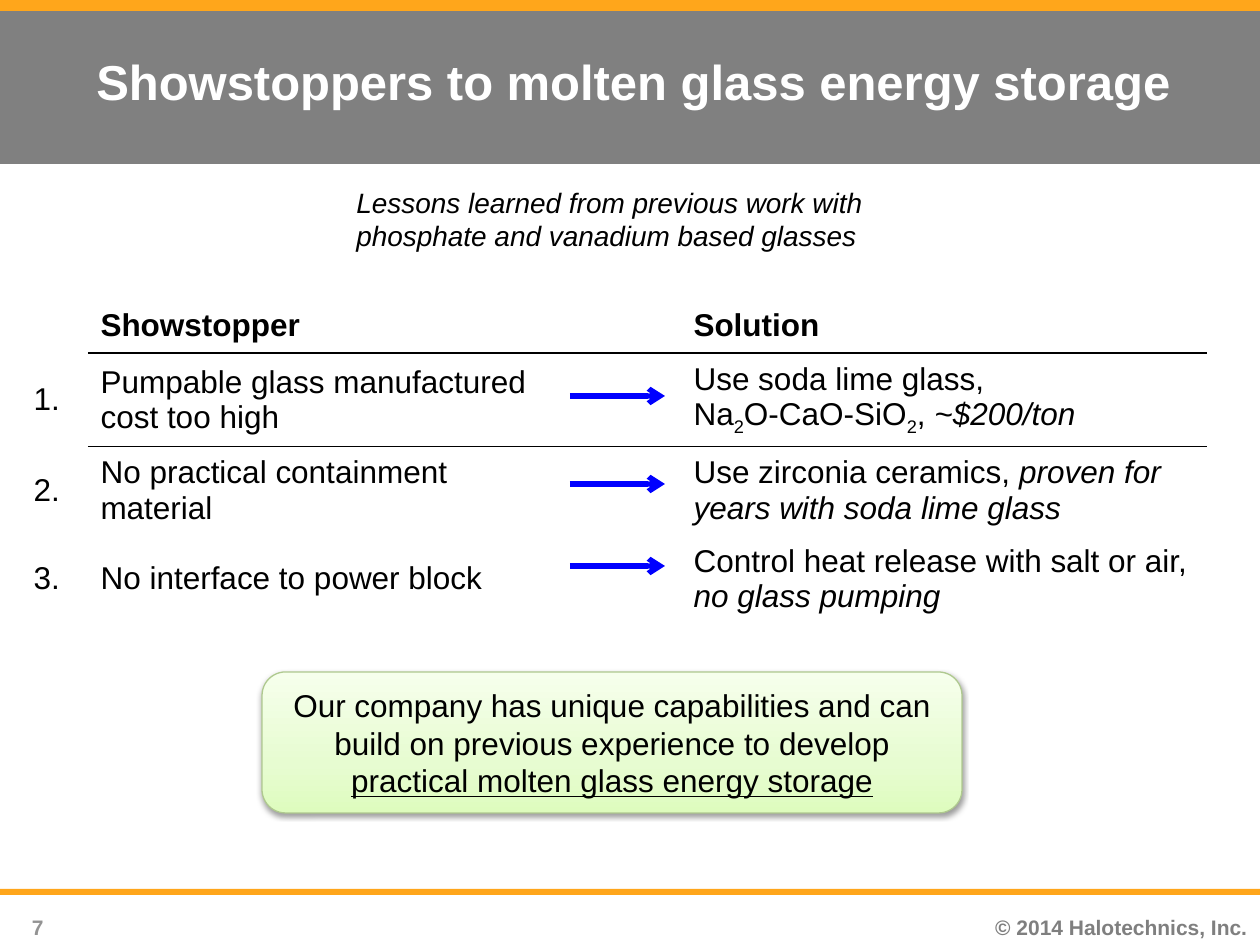
from copy import deepcopy
from dataclasses import dataclass

from lxml import etree
from pptx import Presentation
from pptx.dml.color import RGBColor
from pptx.enum.shapes import MSO_CONNECTOR as CONN, MSO_SHAPE as SHAPE
from pptx.enum.text import MSO_ANCHOR as ANCHOR, PP_ALIGN as ALIGN
from pptx.oxml import parse_xml
from pptx.oxml.ns import nsdecls, qn
from pptx.util import Emu, Pt


@dataclass(frozen=True)
class Theme:
    """Colours, font and type sizes of the slide."""
    font: str = "Arial"
    orange: str = "FFA61B"
    band: str = "808080"
    white: str = "FFFFFF"
    black: str = "000000"
    copyright: str = "7F7F7F"
    number: str = "939393"
    arrow: str = "0000FF"
    box_line: str = "AFC98F"
    box_stops: tuple = ((0, "DEFCBE"), (0.35, "E7FCD1"), (1, "F6FFEC"))
    title: int = 28
    body: int = 18
    note: int = 16
    footer: int = 12


T = Theme()
PX = 914400 / 126
ROWS = (
    ("Pumpable glass manufactured cost too high",
     ((("Use soda lime glass,", ""),),
      (("Na", ""), ("2", "sub"), ("O-CaO-SiO", ""), ("2", "sub"),
       (", ", ""), ("~$200/ton", "i")))),
    ("No practical containment material",
     ((("Use zirconia ceramics, ", ""),
       ("proven for years with soda lime glass", "i")),)),
    ("No interface to power block",
     ((("Control heat release with salt or air, ", ""),
       ("no glass pumping", "i")),)),
)
COL_WIDTHS = (67, 467, 126, 526)
ROW_HEIGHTS = (51, 88, 83, 83)


def px(*values):
    """Turn pixel lengths into EMU."""
    return [Emu(round(v * PX)) for v in values]


def rgb(color):
    """Return a colour object for a hex string."""
    return RGBColor.from_string(color)


def write(tf, paras, size, color=T.black, align=ALIGN.LEFT):
    """Fill a text frame with paragraphs of (text, style) runs."""
    for i, runs in enumerate(paras):
        p = tf.paragraphs[0] if i == 0 else tf.add_paragraph()
        p.alignment = align
        for text, style in runs:
            r = p.add_run()
            r.text = text
            f = r.font
            f.name, f.size, f.color.rgb = T.font, Pt(size), rgb(color)
            f.bold, f.italic, f.underline = style == "b", style == "i", style == "u"
            if style == "sub":
                r._r.get_or_add_rPr().set("baseline", "-25000")


def add_text(slide, box, text, style, size, color=T.black, align=ALIGN.LEFT, anchor=ANCHOR.TOP):
    """Add a wrapped text box with one run."""
    tf = slide.shapes.add_textbox(*px(*box)).text_frame
    tf.word_wrap, tf.vertical_anchor = True, anchor
    write(tf, [[(text, style)]], size, color, align)


def add_bar(slide, box, color):
    """Add a plain filled rectangle."""
    s = slide.shapes.add_shape(SHAPE.RECTANGLE, *px(*box))
    s.shadow.inherit = False
    s.fill.solid()
    s.fill.fore_color.rgb = rgb(color)
    s.line.fill.background()


def set_borders(cell, sides):
    """Draw the given cell sides in black and hide the others."""
    tc_pr = cell._tc.get_or_add_tcPr()
    for i, side in enumerate(("L", "R", "T", "B")):
        paint = (f'<a:solidFill><a:srgbClr val="{T.black}"/></a:solidFill>'
                 if side in sides else "<a:noFill/>")
        tc_pr.insert(i, parse_xml(f'<a:ln{side} {nsdecls("a")} w="12700">{paint}</a:ln{side}>'))


def add_table(slide, left, top):
    """Add the table of showstoppers and solutions."""
    shape = slide.shapes.add_table(len(ROW_HEIGHTS), len(COL_WIDTHS),
                                   *px(left, top, sum(COL_WIDTHS), sum(ROW_HEIGHTS)))
    table = shape.table
    table.first_row = table.horz_banding = False
    for col, width in zip(table.columns, COL_WIDTHS):
        col.width = px(width)[0]
    for row, height in zip(table.rows, ROW_HEIGHTS):
        row.height = px(height)[0]
    content = [["", [[("Showstopper", "b")]], "", [[("Solution", "b")]]]]
    for n, (problem, solution) in enumerate(ROWS, 1):
        content.append([[[(f"{n}.", "")]], [[(problem, "")]], "", solution])
    sides = ("B", "TB", "T", "")
    for i, row in enumerate(content):
        for j, paras in enumerate(row):
            cell = table.cell(i, j)
            cell.fill.background()
            cell.vertical_anchor = ANCHOR.MIDDLE if i else ANCHOR.TOP
            set_borders(cell, sides[i] if j else "")
            write(cell.text_frame, paras, T.body)


def add_arrow(slide, x1, x2, y):
    """Add a horizontal arrow pointing right."""
    s = slide.shapes.add_connector(CONN.STRAIGHT, *px(x1, y, x2, y))
    s.line.color.rgb, s.line.width = rgb(T.arrow), Pt(3)
    etree.SubElement(s.line._get_or_add_ln(), qn("a:tailEnd"), type="arrow")
    etree.SubElement(s._element.spPr, qn("a:effectLst"))


def add_callout(slide, box, runs):
    """Add the rounded gradient box with its soft shadow."""
    s = slide.shapes.add_shape(SHAPE.ROUNDED_RECTANGLE, *px(*box))
    s.fill.gradient()
    s.fill.gradient_angle = 90
    stops = s._element.spPr.find(".//" + qn("a:gsLst"))
    stops.append(deepcopy(stops[-1]))
    for stop, (position, color) in zip(s.fill.gradient_stops, T.box_stops):
        stop.position, stop.color.rgb = position, rgb(color)
    s.line.color.rgb, s.line.width = rgb(T.box_line), Pt(0.75)
    s._element.spPr.append(parse_xml(
        f'<a:effectLst {nsdecls("a")}><a:outerShdw blurRad="40000" dist="20000" '
        f'dir="5400000" rotWithShape="0"><a:srgbClr val="{T.black}">'
        '<a:alpha val="38000"/></a:srgbClr></a:outerShdw></a:effectLst>'))
    tf = s.text_frame
    tf.word_wrap, tf.vertical_anchor = True, ANCHOR.MIDDLE
    write(tf, [runs], T.body, align=ALIGN.CENTER)


def main():
    """Build and save the slide."""
    prs = Presentation()
    prs.slide_width, prs.slide_height = px(1260, 945)
    slide = prs.slides.add_slide(prs.slide_layouts[6])
    add_bar(slide, (0, 0, 1260, 164), T.band)
    add_bar(slide, (0, 889, 1260, 6), T.orange)
    add_bar(slide, (0, 0, 1260, 11), T.orange)
    add_text(slide, (946, 908, 314, 37), "© 2014 Halotechnics, Inc.", "b",
             T.footer, T.copyright, ALIGN.RIGHT)
    add_text(slide, (0, 908, 56, 33), "7", "b", T.footer, T.number, ALIGN.RIGHT)
    add_text(slide, (84, -2, 1134, 165), "Showstoppers to molten glass energy storage", "b",
             T.title, T.white, anchor=ANCHOR.MIDDLE)
    add_table(slide, 21, 302)
    for y in (396, 484, 566):
        add_arrow(slide, 570, 665, y)
    add_callout(slide, (262, 672, 700, 141), (
        ("Our company has unique capabilities and can build on previous experience to develop ", ""),
        ("practical molten glass energy storage", "u")))
    add_text(slide, (344, 179, 570, 81),
             "Lessons learned from previous work with phosphate and vanadium based glasses",
             "i", T.note)
    prs.save("out.pptx")


if __name__ == "__main__":
    main()
